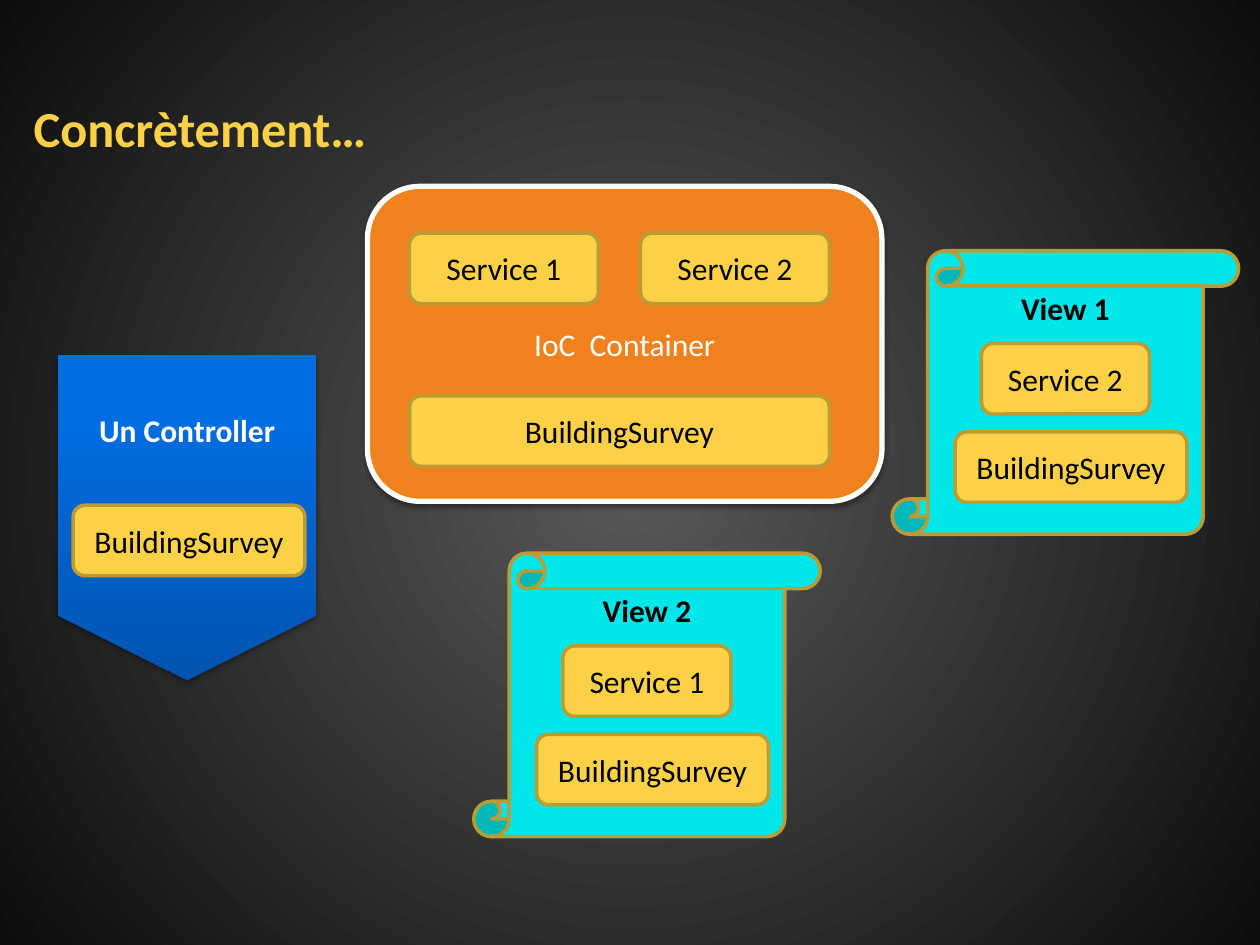
from dataclasses import dataclass

from lxml import etree
from pptx import Presentation
from pptx import util as u
from pptx.dml.color import RGBColor
from pptx.enum import shapes, text
from pptx.oxml import ns

COLORS = {
    "white": "FFFFFF",
    "black": "000000",
    "yellow": "FDD146",
    "gold": "BB9B34",
    "orange": "F0821E",
    "cyan": "00E6E9",
}
BACKGROUND_STOPS = [(0, "595959"), (100, "0D0D0D")]
CONTROLLER_STOPS = [(0, "0054AE"), (80, "006DE2"), (100, "006EE3")]
FONT = "Calibri"
CARD_HEIGHT = 40.3
SURVEY = "BuildingSurvey"
Shape = shapes.MSO_SHAPE


@dataclass
class Box:
    left: float
    top: float
    width: float
    height: float = CARD_HEIGHT

    def lengths(self):
        return [u.Pt(v) for v in (self.left, self.top, self.width, self.height)]


@dataclass
class View:
    title: str
    service: str
    left: float
    top: float


VIEWS = [
    View("View 1", "Service 2", 509.8, 143.3),
    View("View 2", "Service 1", 270.7, 316.1),
]


def rgb(name: str) -> RGBColor:
    return RGBColor.from_string(COLORS[name])


def add_child(parent, tag: str, **attributes):
    child = etree.SubElement(parent, ns.qn(tag))
    for name, value in attributes.items():
        child.set(name, str(value))
    return child


def add_color(parent, value: str):
    return add_child(parent, "a:srgbClr", val=value)


def set_gradient(fill, owner, stops: list):
    """Give the fill its colour stops and return the emptied gradFill for a direction."""
    fill.gradient()
    gradient = owner.find(".//" + ns.qn("a:gradFill"))
    for child in list(gradient):
        gradient.remove(child)
    stop_list = add_child(gradient, "a:gsLst")
    for position, color in stops:
        add_color(add_child(stop_list, "a:gs", pos=position * 1000), color)
    return gradient


def add_shadow(shape, distance: float, opacity: int) -> None:
    effects = shape._element.spPr.find(ns.qn("a:effectLst"))
    shadow = add_child(effects, "a:outerShdw", blurRad=u.Pt(3.1), dist=u.Pt(distance),
                       dir=90 * 60000, algn="ctr", rotWithShape=0)
    add_child(add_color(shadow, COLORS["black"]), "a:alpha", val=opacity * 1000)


def set_text(shape, words: str, color: str, bold: bool = False, size: float = 18,
             align=text.PP_ALIGN.CENTER, top_inset: float | None = None) -> None:
    """Write one line, centred in height unless an inset from the top is given."""
    frame = shape.text_frame
    frame.word_wrap = True
    frame.vertical_anchor = text.MSO_ANCHOR.MIDDLE
    if top_inset is not None:
        frame.vertical_anchor = text.MSO_ANCHOR.TOP
        frame.margin_top = u.Pt(top_inset)
    paragraph = frame.paragraphs[0]
    paragraph.text = words
    paragraph.alignment = align
    font = paragraph.font
    font.name = FONT
    font.size = u.Pt(size)
    font.bold = bold
    font.color.rgb = rgb(color)


def add_shape(slide, preset, box: Box, fill: str | None = None,
              line: str | None = None, line_width: float = 2):
    shape = slide.shapes.add_shape(preset, *box.lengths())
    shape.shadow.inherit = False
    if fill:
        shape.fill.solid()
        shape.fill.fore_color.rgb = rgb(fill)
    if line:
        shape.line.color.rgb = rgb(line)
        shape.line.width = u.Pt(line_width)
    else:
        shape.line.fill.background()
    return shape


def add_card(slide, words: str, left: float, top: float, width: float) -> None:
    card = add_shape(slide, Shape.ROUNDED_RECTANGLE, Box(left, top, width), "yellow", "gold")
    set_text(card, words, "black")
    run = card.text_frame.paragraphs[0].runs[0]
    outline = add_child(run._r.get_or_add_rPr(), "a:ln", w=u.Pt(0.75))
    add_color(add_child(outline, "a:solidFill"), COLORS["black"])


def add_title(slide) -> None:
    title = slide.shapes.add_textbox(*Box(12.2, 51.8, 612, 41.8).lengths())
    set_text(title, "Concrètement…", "yellow", True, 28.8, text.PP_ALIGN.LEFT)


def add_container(slide) -> None:
    container = add_shape(slide, Shape.ROUNDED_RECTANGLE, Box(210, 106.5, 294, 180),
                          "orange", "white", 3)
    add_shadow(container, 1.6, 38)
    set_text(container, "IoC  Container", "white")
    add_card(slide, "Service 1", 234, 133.2, 108)
    add_card(slide, "Service 2", 366, 133.2, 108)
    add_card(slide, SURVEY, 234, 226.2, 240)


def add_view(slide, view: View) -> None:
    scroll = add_shape(slide, Shape.VERTICAL_SCROLL, Box(view.left, view.top, 198, 162),
                       "cyan", "gold")
    set_text(scroll, view.title, "black", bold=True, top_inset=1.5)
    add_card(slide, view.service, view.left + 51, view.top + 53, 96)
    add_card(slide, SURVEY, view.left + 36, view.top + 103.5, 132.5)


def add_controller(slide) -> None:
    controller = add_shape(slide, Shape.FLOWCHART_OFFPAGE_CONNECTOR,
                           Box(33.1, 203, 147.6, 185.8))
    gradient = set_gradient(controller.fill, controller._element.spPr, CONTROLLER_STOPS)
    add_child(gradient, "a:lin", ang=270 * 60000, scaled=0)
    add_shadow(controller, 1.8, 35)
    set_text(controller, "Un Controller", "white", bold=True, top_inset=32)
    add_card(slide, SURVEY, 41.8, 288.7, 132.5)


def main() -> None:
    presentation = Presentation()
    presentation.slide_width, presentation.slide_height = u.Pt(720), u.Pt(540)
    slide = presentation.slides.add_slide(presentation.slide_layouts[6])

    gradient = set_gradient(slide.background.fill, slide.element, BACKGROUND_STOPS)
    circle = add_child(gradient, "a:path", path="circle")
    add_child(circle, "a:fillToRect", l=50000, t=50000, r=50000, b=50000)

    add_title(slide)
    add_container(slide)
    for view in VIEWS:
        add_view(slide, view)
    add_controller(slide)
    presentation.save("out.pptx")


if __name__ == "__main__":
    main()
